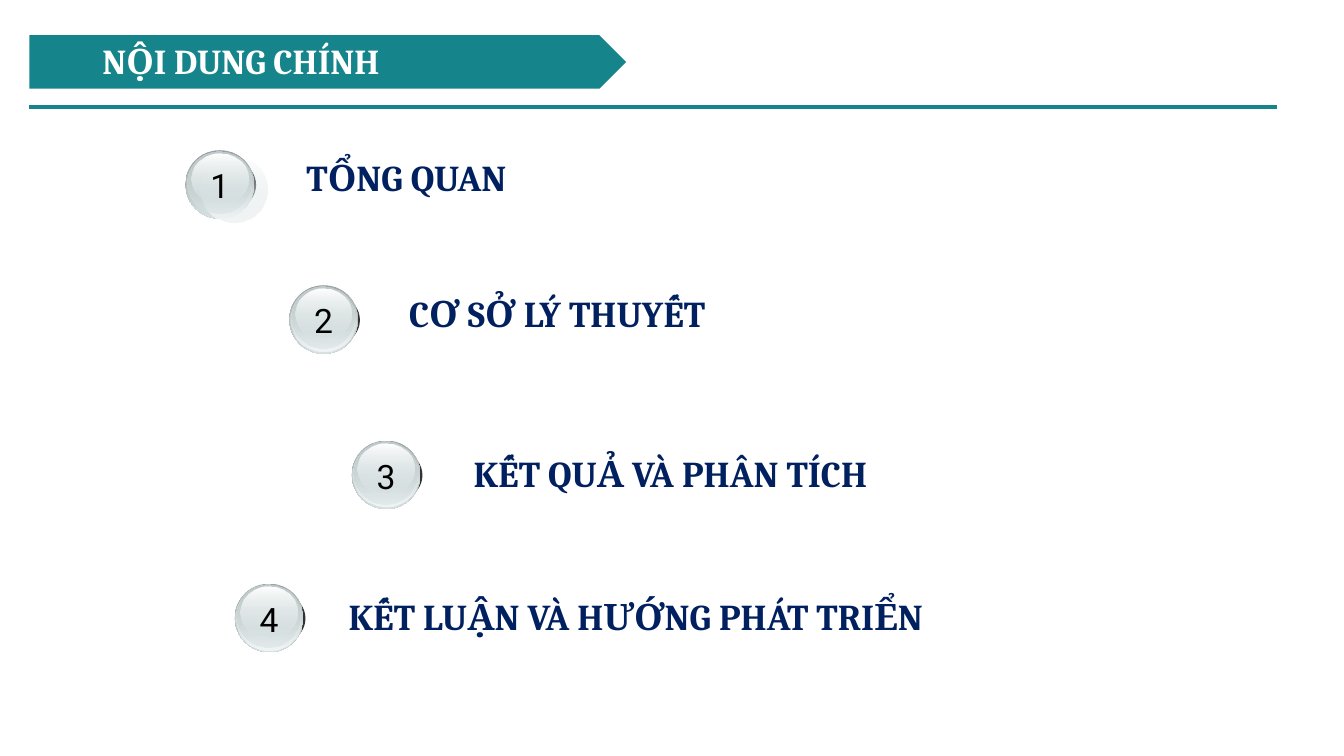
from lxml.etree import SubElement
from pptx import Presentation
from pptx.dml.color import RGBColor
from pptx.enum.shapes import MSO_CONNECTOR, MSO_SHAPE
from pptx.enum.text import MSO_AUTO_SIZE, PP_ALIGN
from pptx.oxml.ns import qn
from pptx.util import Inches, Pt

COLORS = {
    "teal": "15848B", "navy": "002060", "white": "FFFFFF", "black": "000000",
    "edge": "333333", "steel": "99A1A2", "mist": "D6E1E2", "pale": "F2F5F5",
    "ash": "C1CBCC",
}

# Each layer: offset and size, then (color, opacity) from top to bottom.
LAYERS = [
    (0, 0, 0.68, 0.68, ("steel", 100), ("mist", 100)),
    (0.01, 0, 0.66, 0.66, ("mist", 0), ("pale", 100)),
    (0.02, 0.01, 0.63, 0.62, ("ash", 100), ("mist", 48)),
    (0.06, 0.03, 0.56, 0.5, ("white", 100), ("mist", 38)),
]
GLOW = 1

# Each topic: ball corner, label offset and width, glow shift, wording.
TOPICS = [
    (1.84, 1.49, 1.1, 0, 9.51, (0.14, 0.06), "TỔNG QUAN"),
    (2.87, 2.83, 1.09, 0.01, 9.23, (0, 0), "CƠ SỞ LÝ THUYẾT"),
    (3.49, 4.37, 1.11, 0.06, 8.07, (0, 0), "KẾT QUẢ VÀ PHÂN TÍCH"),
    (2.33, 5.79, 1.03, 0.06, 8.07, (0, 0), "KẾT LUẬN VÀ HƯỚNG PHÁT TRIỂN"),
]


def rgb(name):
    """Return the named color."""
    return RGBColor.from_string(COLORS[name])


def add_form(shapes, kind, x, y, w, h):
    """Add a preset shape without line or shadow."""
    form = shapes.add_shape(kind, Inches(x), Inches(y), Inches(w), Inches(h))
    form.shadow.inherit = False
    form.line.fill.background()
    return form


def add_solid(shapes, kind, x, y, w, h, color):
    """Add a preset shape in one color."""
    form = add_form(shapes, kind, x, y, w, h)
    form.fill.solid()
    form.fill.fore_color.rgb = rgb(color)


def add_shade(shapes, x, y, w, h, stops):
    """Add an ellipse shaded from top to bottom."""
    form = add_form(shapes, MSO_SHAPE.OVAL, x, y, w, h)
    form.fill.gradient()
    form.fill.gradient_angle = 270
    for stop, (color, alpha) in zip(form.fill.gradient_stops, stops):
        stop.color.rgb = rgb(color)
    marks = form.fill._xPr.iter(qn("a:srgbClr"))
    for mark, (color, alpha) in zip(marks, stops):
        if alpha < 100:
            SubElement(mark, qn("a:alpha")).set("val", str(alpha * 1000))


def add_text(shapes, x, y, w, h, text, font, size, color, bold=True,
             align=PP_ALIGN.LEFT, wrap=True):
    """Add a line of text in a box that grows."""
    box = shapes.add_textbox(Inches(x), Inches(y), Inches(w), Inches(h))
    frame = box.text_frame
    frame.word_wrap = wrap
    frame.auto_size = MSO_AUTO_SIZE.SHAPE_TO_FIT_TEXT
    line = frame.paragraphs[0]
    line.text = text
    line.alignment = align
    line.font.name = font
    line.font.size = Pt(size)
    line.font.bold = bold
    line.font.color.rgb = rgb(color)


def add_head(shapes, x, y, w):
    """Add the title banner and the rule below it."""
    add_solid(shapes, MSO_SHAPE.PENTAGON, x, y, 5.92, 0.53, "teal")
    add_text(shapes, x - 0.92, y - 0.01, 6.04, 0.52, "NỘI DUNG CHÍNH",
             "Cambria", 25, "white", align=PP_ALIGN.CENTER)
    base = Inches(y + 0.71)
    rule = shapes.add_connector(MSO_CONNECTOR.STRAIGHT,
                                Inches(x), base, Inches(x + w), base)
    rule.line.color.rgb = rgb("teal")
    rule.line.width = Pt(3)
    SubElement(rule._element.spPr, qn("a:effectLst"))


def add_ball(shapes, x, y, digit, shift):
    """Add a glass ball with its number."""
    add_solid(shapes, MSO_SHAPE.OVAL, x, y + 0.06, 0.7, 0.57, "edge")
    for rank, (dx, dy, w, h, *stops) in enumerate(LAYERS):
        sx, sy = shift if rank == GLOW else (0, 0)
        add_shade(shapes, x + dx + sx, y + dy + sy, w, h, stops)
    add_text(shapes, x + 0.14, y + 0.1, 0.4, 0.51, digit, "Roboto", 24,
             "black", bold=False, align=PP_ALIGN.CENTER, wrap=False)


def add_topic(shapes, digit, x, y, dx, dy, w, shift, text):
    """Add one numbered topic as a group."""
    group = shapes.add_group_shape().shapes
    add_ball(group, x, y, digit, shift)
    add_text(group, x + dx, y + dy, w, 0.54, text, "Cambria", 26, "navy")


def main():
    """Build the contents slide."""
    deck = Presentation()
    deck.slide_width = Inches(13.33)
    deck.slide_height = Inches(7.5)
    shapes = deck.slides.add_slide(deck.slide_layouts[6]).shapes
    add_head(shapes, 0.29, 0.35, 12.38)
    for count, topic in enumerate(TOPICS, 1):
        add_topic(shapes, str(count), *topic)
    deck.save("out.pptx")


if __name__ == "__main__":
    main()
